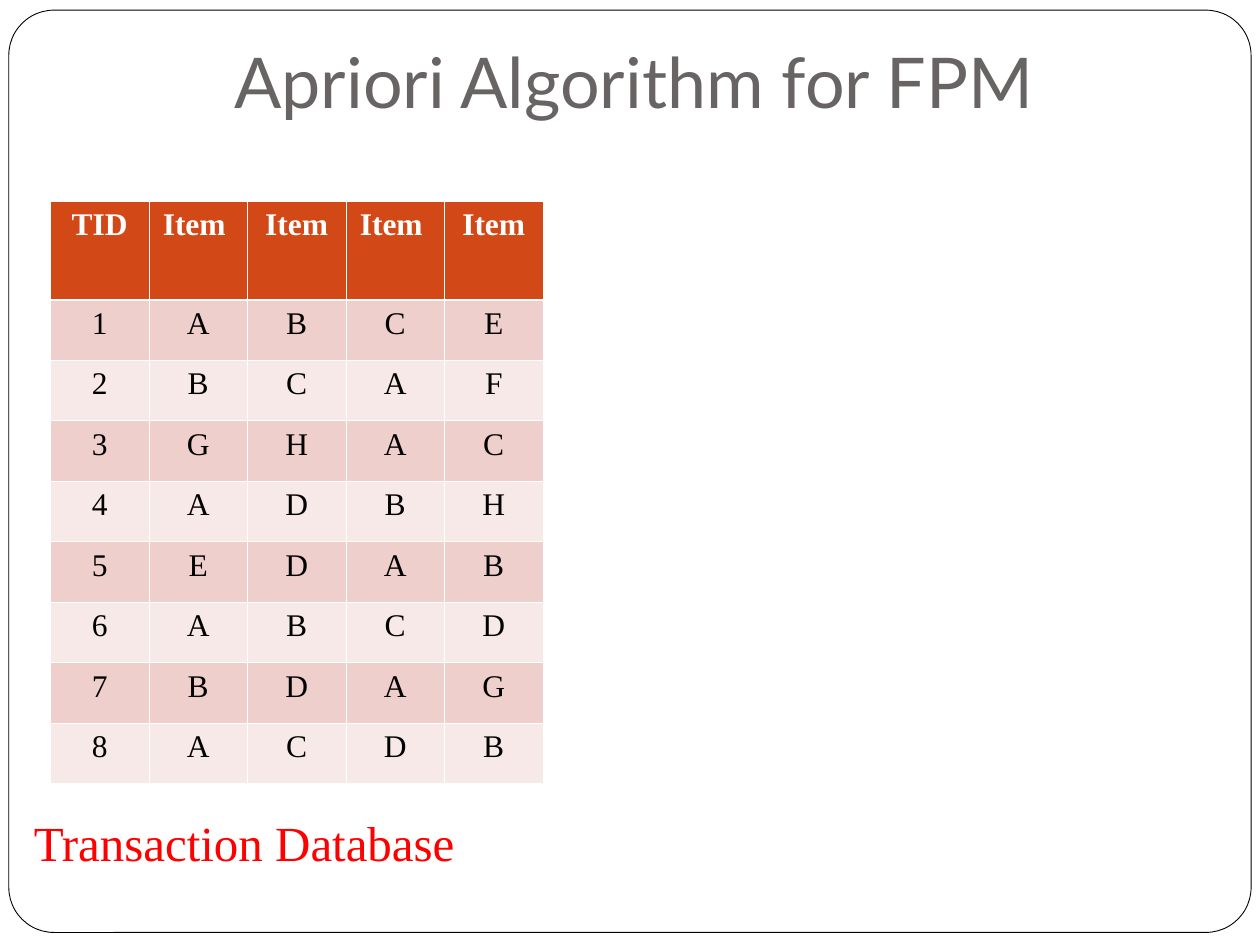
"""Build a slide with a transaction table for the Apriori algorithm."""
from lxml.etree import SubElement
from pptx import Presentation
from pptx.dml.color import RGBColor
from pptx.enum.shapes import MSO_SHAPE
from pptx.enum.text import MSO_ANCHOR, MSO_AUTO_SIZE, PP_ALIGN
from pptx.oxml.ns import qn
from pptx.util import Inches, Pt

theme = {
    "white": "FFFFFF", "black": "000000", "grey": "696464", "red": "FF0000",
    "head": "D34817", "bands": ("F7E9E7", "EFCFCC"),
    "sans": "Lato", "serif": "Times New Roman",
    "title": 40, "label": 28, "cell": 18, "rule": 0.45, "heavy": 1.47,
}
rows = ["1ABCE", "2BCAF", "3GHAC", "4ADBH", "5EDAB", "6ABCD", "7BDAG", "8ACDB"]
data = [["TID", "Item ", "Item", "Item ", "Item"]] + [list(row) for row in rows]

deck = Presentation()
deck.slide_width, deck.slide_height = Inches(10), Inches(7.5)
wide, high = deck.slide_width, deck.slide_height


def place(left, top, width, height):
    """Turn percentages of the slide into lengths."""
    return [int(part * side / 100) for part, side in
            zip((left, top, width, height), (wide, high, wide, high))]


def write(frame, text, size, color, face="serif", bold=False, align=PP_ALIGN.CENTER):
    """Put one formatted paragraph in a text frame."""
    par = frame.paragraphs[0]
    par.alignment = align
    run = par.add_run()
    run.text = text
    run.font.name, run.font.size, run.font.bold = theme[face], Pt(theme[size]), bold
    run.font.color.rgb = RGBColor.from_string(theme[color])


slide = deck.slides.add_slide(deck.slide_layouts[5])
shapes = slide.shapes

frame = shapes.add_shape(MSO_SHAPE.ROUNDED_RECTANGLE, *place(0.7, 1.07, 98.6, 97.6))
frame.adjustments[0] = 0.049
frame.shadow.inherit = False
frame.fill.solid()
frame.fill.fore_color.rgb = RGBColor.from_string(theme["white"])
frame.line.color.rgb = RGBColor.from_string(theme["black"])
frame.line.width = Pt(0.5)

title = shapes.title
frame.element.addnext(title.element)
title.left, title.top, title.width, title.height = place(7.8, 2, 85, 12.27)
body = title.text_frame
body.auto_size = MSO_AUTO_SIZE.NONE
body.vertical_anchor = MSO_ANCHOR.BOTTOM
body.margin_bottom = Inches(0.1)
write(body, "Apriori Algorithm for FPM", "title", "grey", face="sans")

grid = shapes.add_table(len(data), len(data[0]), *place(4, 21.33, 39.1, 61.6)).table
grid.horz_banding = False
for num, row in enumerate(grid.rows):
    row.height = Inches(0.48 if num else 0.78)
    top = num == 0
    for cell, text in zip(row.cells, data[num]):
        write(cell.text_frame, text, "cell", "white" if top else "black", bold=top)
        for side in "LRTB":
            heavy = (num, side) in ((0, "B"), (1, "T"))
            width = Pt(theme["heavy" if heavy else "rule"])
            line = SubElement(cell._tc.get_or_add_tcPr(), qn(f"a:ln{side}"), w=str(width))
            SubElement(SubElement(line, qn("a:solidFill")), qn("a:srgbClr"), val=theme["white"])
        cell.fill.solid()
        shade = theme["head"] if top else theme["bands"][num % 2]
        cell.fill.fore_color.rgb = RGBColor.from_string(shade)

label = shapes.add_textbox(*place(1.7, 85.33, 41.6, 7.6)).text_frame
label.word_wrap = False
label.auto_size = MSO_AUTO_SIZE.SHAPE_TO_FIT_TEXT
write(label, "Transaction Database", "label", "red", align=PP_ALIGN.LEFT)

deck.save("out.pptx")
